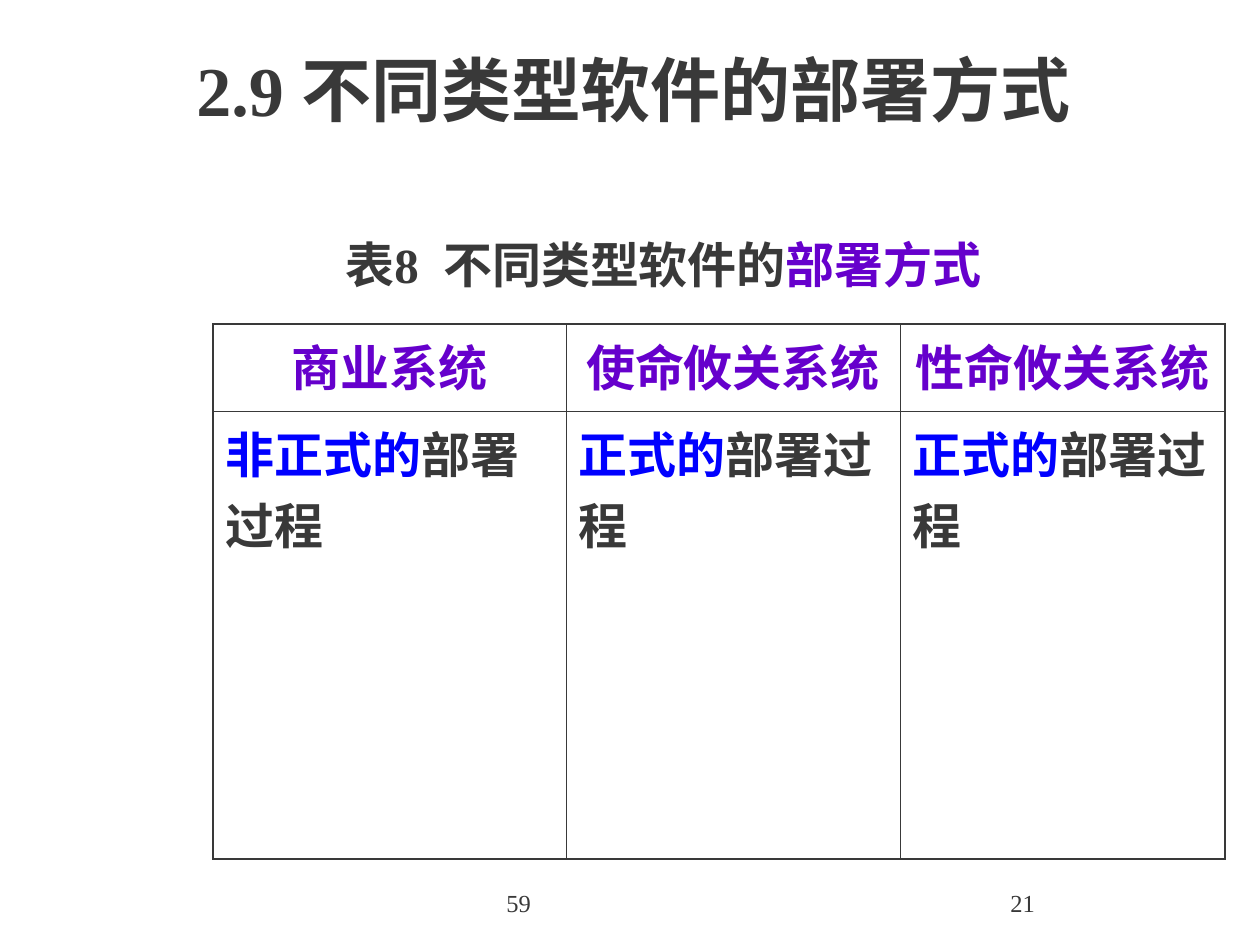
import pptx
import pptx.util
import pptx.dml.color
import pptx.enum.text
import pptx.oxml.ns
from lxml import etree

PX = 914400 // 126
FONT = "Times New Roman"
GREY = pptx.dml.color.RGBColor(0x39, 0x39, 0x39)
PURPLE = pptx.dml.color.RGBColor(0x66, 0x00, 0xCC)
BLUE = pptx.dml.color.RGBColor(0x00, 0x00, 0xFF)
LEFT = pptx.enum.text.PP_ALIGN.LEFT
CENTER = pptx.enum.text.PP_ALIGN.CENTER
TOP = pptx.enum.text.MSO_ANCHOR.TOP
MIDDLE = pptx.enum.text.MSO_ANCHOR.MIDDLE
THIN, THICK = 0.45, 1.08


def write(frame, parts, size, bold=True, align=LEFT):
    """Fill the first paragraph with (text, colour) parts."""
    para = frame.paragraphs[0]
    para.alignment = align
    for text, color in parts:
        run = para.add_run()
        run.text = text
        run.font.name = FONT
        run.font.size = pptx.util.Pt(size)
        run.font.bold = bold
        run.font.color.rgb = color


def label(slide, box, parts, size, bold=True, anchor=TOP):
    shape = slide.shapes.add_textbox(*(n * PX for n in box))
    frame = shape.text_frame
    frame.word_wrap = True
    frame.vertical_anchor = anchor
    write(frame, parts, size, bold)


def border(cell, widths):
    """Draw the sides of a cell; widths run left, right, top, bottom."""
    props = cell._tc.get_or_add_tcPr()
    qn = pptx.oxml.ns.qn
    for i, (side, width) in enumerate(zip("LRTB", widths)):
        line = etree.Element(qn("a:ln" + side), w=str(int(pptx.util.Pt(width))))
        fill = etree.SubElement(line, qn("a:solidFill"))
        etree.SubElement(fill, qn("a:srgbClr"), val=str(GREY))
        props.insert(i, line)


def grid(slide, box, cols, rows, data):
    count, wide = len(data), len(cols)
    frame = slide.shapes.add_table(count, wide, *(n * PX for n in box))
    table = frame.table
    table.first_row = table.horz_banding = False
    for col, width in zip(table.columns, cols):
        col.width = width * PX
    for row, height in zip(table.rows, rows):
        row.height = height * PX
    for r, line in enumerate(data):
        for c, parts in enumerate(line):
            cell = table.cell(r, c)
            cell.fill.background()
            edges = (c == 0, c == wide - 1, r == 0, r == count - 1)
            border(cell, [THICK if edge else THIN for edge in edges])
            write(cell.text_frame, parts, 28, align=LEFT if r else CENTER)


def main():
    deck = pptx.Presentation()
    deck.slide_width = 1260 * PX
    deck.slide_height = 945 * PX
    slide = deck.slides.add_slide(deck.slide_layouts[6])

    # Title
    label(slide, (184, 6, 1071, 166),
          [("2.9 不同类型软件的部署方式", GREY)], 40, anchor=MIDDLE)

    # Table
    heads = ["商业系统", "使命攸关系统", "性命攸关系统"]
    modes = ["非正式的", "正式的", "正式的"]
    data = [[[(head, PURPLE)] for head in heads],
            [[(mode, BLUE), ("部署过程", GREY)] for mode in modes]]
    grid(slide, (213, 324, 1012, 535), (353, 334, 325), (87, 448), data)

    # Caption
    label(slide, (333, 228, 724, 72),
          [("表8  不同类型软件的", GREY), ("部署方式", PURPLE)], 28, anchor=MIDDLE)

    # Page numbers
    for left, width, text in ((494, 399, "59"), (998, 262, "21")):
        label(slide, (left, 882, width, 63), [(text, GREY)], 14, bold=False)

    deck.save("out.pptx")


if __name__ == "__main__":
    main()
